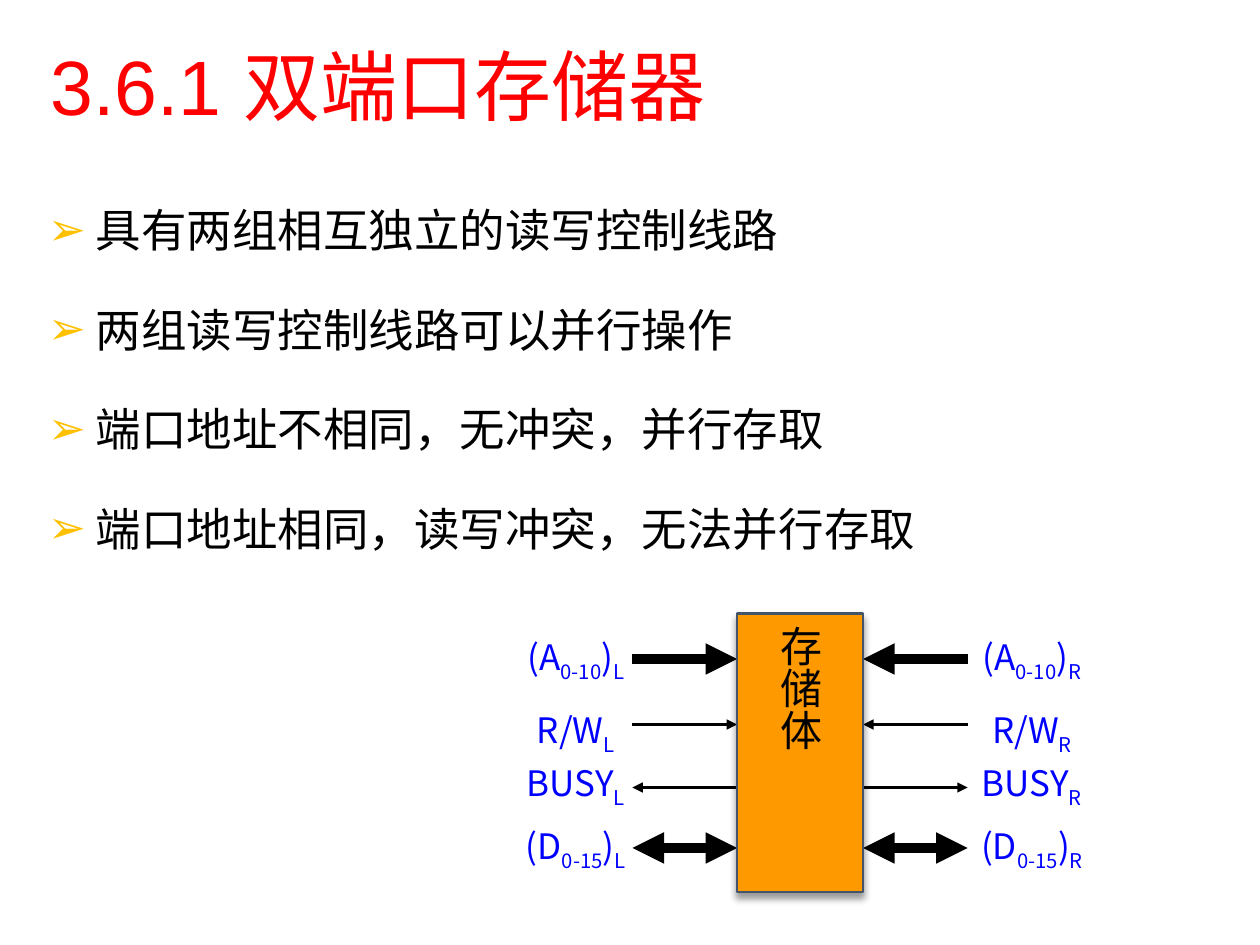
from pptx import Presentation
from pptx.dml.color import RGBColor
from pptx.enum.shapes import MSO_CONNECTOR, MSO_SHAPE
from pptx.enum.text import MSO_ANCHOR, MSO_AUTO_SIZE, PP_ALIGN
from pptx.oxml import parse_xml
from pptx.oxml.ns import nsdecls
from pptx.util import Inches, Pt

RED = RGBColor(0xFF, 0, 0)
BLACK = RGBColor(0, 0, 0)
BLUE = RGBColor(0, 0, 0xFF)
ORANGE = RGBColor(0xFF, 0x99, 0)
SLATE = RGBColor(0x44, 0x54, 0x6A)
STRAIGHT = MSO_CONNECTOR.STRAIGHT
RECT = MSO_SHAPE.RECTANGLE
MIDDLE, TOP = MSO_ANCHOR.MIDDLE, MSO_ANCHOR.TOP
LEFT, CENTER, JUSTIFY = PP_ALIGN.LEFT, PP_ALIGN.CENTER, PP_ALIGN.JUSTIFY
FIXED = MSO_AUTO_SIZE.NONE
SANS = "Noto Sans CJK SC"
LABEL = "Noto Sans CJK JP"

POINTS = [
    "具有两组相互独立的读写控制线路",
    "两组读写控制线路可以并行操作",
    "端口地址不相同，无冲突，并行存取",
    "端口地址相同，读写冲突，无法并行存取",
]
# Text parts (every second one is a subscript), label top, line y,
# line width, head at the outer end, head at the block
SIGNALS = [
    (["(A", "0-10", ")"], 0.15, 0.36, 6, False, True),
    (["R/W"], 0.73, 0.88, 1.5, False, True),
    (["BUSY"], 1.15, 1.38, 1.5, True, False),
    (["(D", "0-15", ")"], 1.65, 1.86, 6, True, True),
]


def xml(text):
    """Make a DrawingML element."""
    tag, rest = text.split(" ", 1)
    return parse_xml(f"<a:{tag} {nsdecls('a')} {rest}")


def place(shape, box):
    shape.left, shape.top, shape.width, shape.height = map(Inches, box)


def add_run(para, text, size, color, latin, asian):
    run = para.add_run()
    run.text = text
    run.font.size = Pt(size)
    run.font.color.rgb = color
    run.font.name = latin
    run.font._element.append(xml(f'ea typeface="{asian}"/>'))
    return run


def add_title(slide, box):
    title = slide.shapes.title
    place(title, box)
    frame = title.text_frame
    frame.auto_size, frame.vertical_anchor = FIXED, MIDDLE
    para = frame.paragraphs[0]
    para.alignment = LEFT
    add_run(para, "3.6.1 双端口存储器", 44, RED, "Arial", SANS)


def add_list(slide, box):
    body = slide.placeholders[1]
    place(body, box)
    frame = body.text_frame
    frame.auto_size, frame.vertical_anchor = FIXED, TOP
    for i, text in enumerate(POINTS):
        para = frame.add_paragraph() if i else frame.paragraphs[0]
        para.alignment, para.line_spacing = JUSTIFY, 1.5
        para.space_before = Pt(10 if i else 0)
        props = para._p.get_or_add_pPr()
        props.set("marL", str(Inches(0.38)))
        props.set("indent", str(Inches(-0.38)))
        props.append(xml('buClr ><a:srgbClr val="FFC000"/></a:buClr>'))
        props.append(xml('buFont typeface="Arial"/>'))
        props.append(xml('buChar char="➢"/>'))
        add_run(para, text, 26, BLACK, SANS, SANS)


def add_label(slide, box, parts):
    label = slide.shapes.add_textbox(*map(Inches, box))
    frame = label.text_frame
    frame.word_wrap, frame.vertical_anchor = True, MIDDLE
    para = frame.paragraphs[0]
    para.alignment = CENTER
    for i, part in enumerate(parts):
        run = add_run(para, part, 20, BLUE, LABEL, LABEL)
        if i % 2:
            run.font._element.set("baseline", "-25000")


def add_arrow(slide, start, end, y, width, head, tail):
    line = slide.shapes.add_connector(
        STRAIGHT, Inches(start), Inches(y), Inches(end), Inches(y))
    line.line.color.rgb = BLACK
    line.line.width = Pt(width)
    for name, shown in (("headEnd", head), ("tailEnd", tail)):
        if shown:
            line.line._ln.append(xml(f'{name} type="triangle"/>'))
    line._element.spPr.append(xml("effectLst />"))


def add_block(slide, box):
    block = slide.shapes.add_shape(RECT, *map(Inches, box))
    block.fill.solid()
    block.fill.fore_color.rgb = ORANGE
    block.line.color.rgb = SLATE
    block.line.width = Pt(1.5)
    block._element.spPr.append(xml(
        'effectLst ><a:outerShdw blurRad="50800" dist="38100" dir="5400000" '
        'rotWithShape="0"><a:srgbClr val="000000"><a:alpha val="40000"/>'
        '</a:srgbClr></a:outerShdw></a:effectLst>'))
    frame = block.text_frame
    frame.word_wrap, frame.vertical_anchor = False, MIDDLE
    frame._txBody.bodyPr.set("vert", "eaVert")
    para = frame.paragraphs[0]
    para.alignment = LEFT
    add_run(para, "存储体", 24, BLACK, "Karla", SANS)


def add_memory(slide, box):
    """Draw the block with the same signals mirrored on both sides."""
    x, y, width, height = box
    half, reach = 0.5, 0.83
    mid = x + width / 2
    for side, sign, shift in (("L", -1, 1.78), ("R", 1, 1.84)):
        inner = mid + sign * half
        outer = inner + sign * reach
        for parts, top, row, weight, head, tail in SIGNALS:
            add_arrow(slide, outer, inner, y + row, weight, head, tail)
            # A one-part name takes the side as its subscript
            spot = (mid + sign * shift - 0.75, y + top, 1.5, 0.43)
            add_label(slide, spot, parts + [side])
    add_block(slide, (mid - half, y, 2 * half, height))


def main():
    deck = Presentation()
    deck.slide_width, deck.slide_height = Inches(10), Inches(7.5)
    slide = deck.slides.add_slide(deck.slide_layouts[1])
    add_title(slide, (0.3, 0.05, 9, 1.25))
    add_list(slide, (0.28, 1.34, 9, 5.96))
    add_memory(slide, (3.85, 4.87, 5, 2.21))
    deck.save("out.pptx")


if __name__ == "__main__":
    main()
